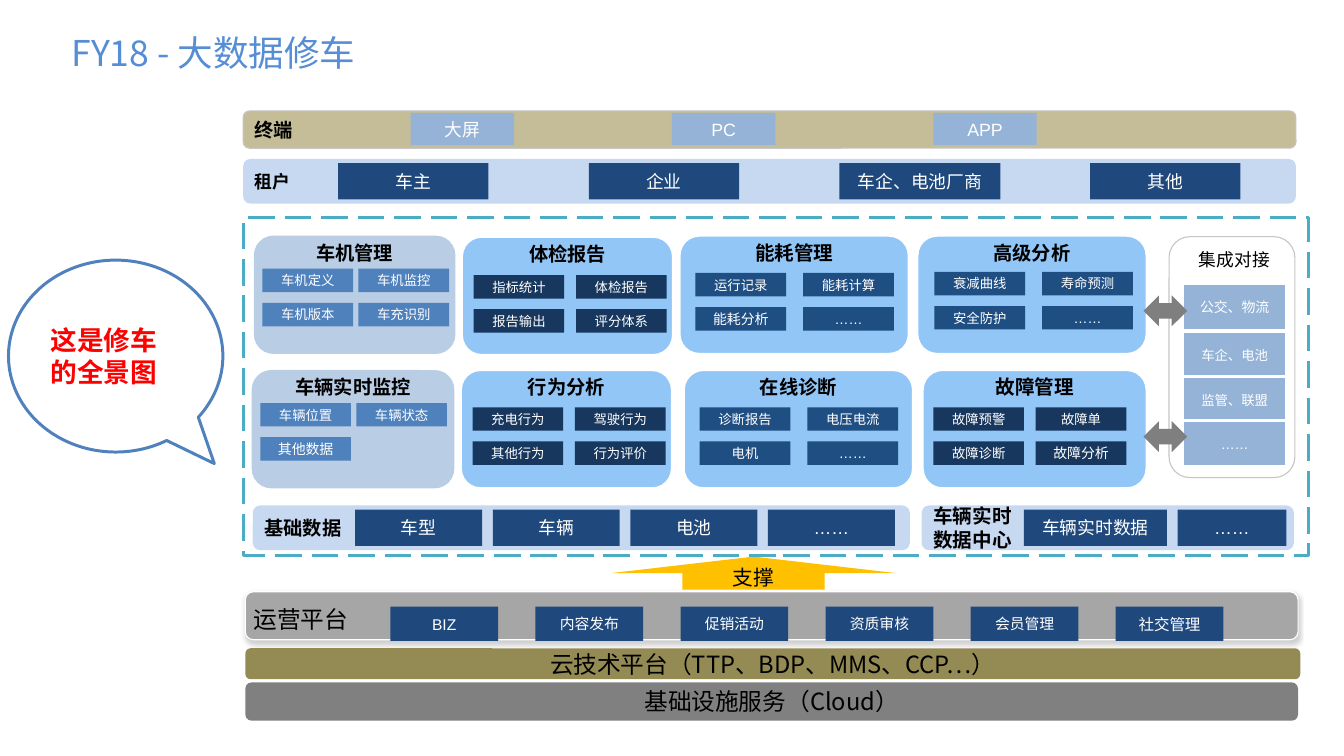
from dataclasses import dataclass, field
from typing import Optional

from lxml.etree import SubElement
from pptx import Presentation
from pptx.dml.color import RGBColor
from pptx.enum.dml import MSO_LINE
from pptx.enum.shapes import MSO_SHAPE as Shape
from pptx.enum.text import MSO_ANCHOR as Anchor, MSO_AUTO_SIZE as AutoSize, PP_ALIGN as Align
from pptx.oxml.ns import qn
from pptx.util import Inches, Pt


@dataclass(frozen=True)
class Theme:
    cjk: str = "Noto Sans CJK SC"
    latin: str = "Arial"
    callout_font: str = "Calibri"
    white: str = "FFFFFF"
    black: str = "000000"
    title: str = "558ED5"
    red: str = "FF0000"
    pale: str = "C6D9F1"
    navy: str = "1F497D"
    dark: str = "17375E"
    deep: str = "1F4E83"
    sky: str = "91C6F7"
    mist: str = "B9CDE5"
    blue: str = "4F81BD"
    soft: str = "95B3D7"
    sand: str = "C4BD97"
    olive: str = "948A54"
    border: str = "C5C5C5"
    frame: str = "4BACC6"
    gold: str = "FFC000"
    silver: str = "A6A6A6"
    gray: str = "808080"
    arrow: str = "7F7F7F"
    title_size: float = 24
    callout_size: float = 18
    platform_size: float = 16
    support_size: float = 14
    heading_size: float = 13
    body_size: float = 12
    service_size: float = 10
    item_size: float = 9


THEME = Theme()
# Labels set in the Latin font, and the sizes that font takes
LATIN_LABELS = {"……", "大屏", "PC", "APP", "其他", "车辆", "BIZ", "社交管理", "其他数据", "公交、物流",
                "能耗分析", "故障分析", "能耗管理", "故障管理", "车辆实时\n数据中心"}
LATIN_SIZES = {9: 9.4, 10: 10.5, 13: 13.2}


@dataclass
class Text:
    content: str
    size: float
    color: str = THEME.white
    bold: bool = False
    align: Align = Align.CENTER
    anchor: Anchor = Anchor.MIDDLE
    inset: float = 0
    wrap: bool = True
    font: Optional[str] = None


@dataclass
class Box:
    left: float
    top: float
    width: float
    height: float
    fill: Optional[str] = None
    kind: Shape = Shape.RECTANGLE
    line: Optional[str] = None
    line_width: float = 0.75
    text: Optional[Text] = None


@dataclass
class Strip:
    bar: Box
    items: tuple[str, ...]
    first: Box
    step: float
    size: float = THEME.body_size
    widths: dict[str, float] = field(default_factory=dict)


@dataclass
class Module:
    title: str
    left: float
    top: float
    width: float
    item_fill: str
    item_left: float
    item_top: float
    column_step: float
    items: tuple[str, ...]
    fill: str = THEME.sky


def write_text(shape, text: Text) -> None:
    frame = shape.text_frame
    frame.auto_size = AutoSize.NONE
    frame.word_wrap = text.wrap
    frame.vertical_anchor = text.anchor
    frame.margin_left = frame.margin_right = Inches(text.inset)
    frame.margin_top = frame.margin_bottom = Inches(0.05 if text.anchor == Anchor.TOP else 0)
    is_latin = text.content in LATIN_LABELS
    font_name = text.font or (THEME.latin if is_latin else THEME.cjk)
    for index, line in enumerate(text.content.split("\n")):
        paragraph = frame.add_paragraph() if index else frame.paragraphs[0]
        paragraph.alignment = text.align
        run = paragraph.add_run()
        run.text = line
        run.font.size = Pt(LATIN_SIZES.get(text.size, text.size) if is_latin else text.size)
        run.font.bold = text.bold
        run.font.color.rgb = RGBColor.from_string(text.color)
        run.font.name = font_name
        SubElement(run.font._element, qn("a:ea")).set("typeface", font_name)


def draw_box(slide, box: Box):
    shape = slide.shapes.add_shape(box.kind, *map(Inches, (box.left, box.top, box.width, box.height)))
    shape.shadow.inherit = False
    if box.fill:
        shape.fill.solid()
        shape.fill.fore_color.rgb = RGBColor.from_string(box.fill)
    else:
        shape.fill.background()
    if box.line:
        shape.line.color.rgb = RGBColor.from_string(box.line)
        shape.line.width = Pt(box.line_width)
    else:
        shape.line.fill.background()
    if box.text:
        write_text(shape, box.text)
    return shape


def draw_label(slide, left: float, top: float, width: float, height: float, text: Text) -> None:
    write_text(slide.shapes.add_textbox(*map(Inches, (left, top, width, height))), text)


def draw_strip(slide, strip: Strip):
    bar = draw_box(slide, strip.bar)
    first = strip.first
    for index, item in enumerate(strip.items):
        draw_box(slide, Box(first.left + index * strip.step, first.top, strip.widths.get(item, first.width),
                            first.height, first.fill, text=Text(item, strip.size)))
    return bar


def draw_module(slide, module: Module) -> None:
    outline = THEME.white if module.fill == THEME.sky else None
    draw_box(slide, Box(module.left, module.top, module.width, 1.11, module.fill,
                        Shape.ROUNDED_RECTANGLE, outline, 1.5))
    draw_label(slide, module.left, module.top, module.width, 0.32,
               Text(module.title, THEME.heading_size, THEME.black, True))
    for index, item in enumerate(module.items):
        row, column = divmod(index, 2)
        draw_box(slide, Box(module.item_left + column * module.column_step, module.item_top + row * 0.32,
                            0.85, 0.22, module.item_fill, text=Text(item, THEME.item_size)))


def add_soft_shadow(shape) -> None:
    effects = shape._element.spPr.find(qn("a:effectLst"))
    shadow = SubElement(effects, qn("a:outerShdw"), blurRad=str(Pt(3.1)), dist=str(Pt(1.6)),
                        dir="5400000", rotWithShape="0")
    color = SubElement(shadow, qn("a:srgbClr"), val=THEME.gray)
    SubElement(color, qn("a:alpha"), val="38000")


def rounded(left: float, top: float, width: float, height: float, fill: str,
            text: Optional[Text] = None, line: Optional[str] = None) -> Box:
    return Box(left, top, width, height, fill, Shape.ROUNDED_RECTANGLE, line, text=text)


def row_label(content: str, size: float = THEME.heading_size) -> Text:
    return Text(content, size, THEME.black, True, Align.LEFT, inset=0.09)


ELLIPSIS = "……"
STRIPS = (
    Strip(rounded(2.28, 1.49, 9.87, 0.42, THEME.pale, row_label("租户", THEME.body_size)),
          ("车主", "企业", "车企、电池厂商", "其他"),
          Box(3.17, 1.53, 1.41, 0.34, THEME.navy), 2.35, widths={"车企、电池厂商": 1.51}),
    Strip(rounded(2.28, 1.04, 9.87, 0.35, THEME.sand, row_label("终端"), THEME.border),
          ("大屏", "PC", "APP"), Box(3.85, 1.06, 0.97, 0.3, THEME.soft), 2.45),
    Strip(rounded(2.37, 4.74, 6.16, 0.42, THEME.pale, row_label("基础数据")),
          ("车型", "车辆", "电池", ELLIPSIS), Box(3.33, 4.78, 1.19, 0.34, THEME.navy), 1.29),
    Strip(rounded(8.64, 4.74, 3.49, 0.42, THEME.pale, row_label("车辆实时\n数据中心")),
          ("车辆实时数据", ELLIPSIS), Box(9.6, 4.78, 1.34, 0.34, THEME.navy), 1.44,
          widths={ELLIPSIS: 1.02}),
)
OPERATIONS = Strip(rounded(2.3, 5.55, 9.87, 0.45, THEME.silver, line=THEME.white),
                   ("BIZ", "内容发布", "促销活动", "资质审核", "会员管理", "社交管理"),
                   Box(3.66, 5.69, 1.01, 0.32, THEME.navy), 1.36, THEME.service_size)
MODULES = (
    Module("车机管理", 2.38, 2.21, 1.89, THEME.blue, 2.46, 2.52, 0.9,
           ("车机定义", "车机监控", "车机版本", "车充识别"), THEME.mist),
    Module("体检报告", 4.33, 2.22, 1.98, THEME.dark, 4.44, 2.58, 0.96,
           ("指标统计", "体检报告", "报告输出", "评分体系")),
    Module("能耗管理", 6.37, 2.21, 2.15, THEME.deep, 6.52, 2.56, 1.01,
           ("运行记录", "能耗计算", "能耗分析", ELLIPSIS)),
    Module("高级分析", 8.6, 2.21, 2.15, THEME.deep, 8.76, 2.55, 1.01,
           ("衰减曲线", "寿命预测", "安全防护", ELLIPSIS)),
    Module("车辆实时监控", 2.36, 3.47, 1.9, THEME.blue, 2.44, 3.78, 0.9,
           ("车辆位置", "车辆状态", "其他数据"), THEME.mist),
    Module("行为分析", 4.32, 3.47, 1.98, THEME.dark, 4.43, 3.82, 0.96,
           ("充电行为", "驾驶行为", "其他行为", "行为评价")),
    Module("在线诊断", 6.41, 3.47, 2.15, THEME.deep, 6.56, 3.82, 1.01,
           ("诊断报告", "电压电流", "电机", ELLIPSIS)),
    Module("故障管理", 8.65, 3.47, 2.1, THEME.dark, 8.75, 3.82, 0.96,
           ("故障预警", "故障单", "故障诊断", "故障分析")),
)
PARTNERS = {"公交、物流": 2.66, "车企、电池": 3.11, "监管、联盟": 3.53, ELLIPSIS: 3.94}
FOUNDATIONS = (
    (6.4, 9.87, 0.36, THEME.gray, "基础设施服务（Cloud）"),
    (6.08, 9.89, 0.29, THEME.olive, "云技术平台（TTP、BDP、MMS、CCP…）"),
)


def main() -> None:
    presentation = Presentation()
    presentation.slide_width, presentation.slide_height = Inches(12.6), Inches(7.09)
    slide = presentation.slides.add_slide(presentation.slide_layouts[5])

    # Title
    title = slide.shapes.title
    title.left, title.top, title.width, title.height = map(Inches, (0.57, 0.24, 3.06, 0.5))
    write_text(title, Text("FY18 - 大数据修车", THEME.title_size, THEME.title,
                           align=Align.LEFT, inset=0.1, wrap=False))

    # Terminals, tenants, data and modules
    draw_box(slide, Box(5.73, 5.22, 2.67, 0.31, THEME.gold, Shape.UP_ARROW,
                        text=Text("支撑", THEME.support_size, THEME.black)))
    for strip in STRIPS:
        draw_strip(slide, strip)
    for module in MODULES:
        draw_module(slide, module)

    # Integration panel
    draw_box(slide, rounded(10.96, 2.22, 1.18, 2.26, THEME.white, line=THEME.border))
    for partner, top in PARTNERS.items():
        draw_box(slide, Box(11.09, top, 0.97, 0.44, THEME.soft, line=THEME.white, line_width=2,
                            text=Text(partner, THEME.item_size)))
    draw_label(slide, 11.15, 2.28, 0.89, 0.5,
               Text("集成对接", THEME.body_size, THEME.black, align=Align.LEFT,
                    anchor=Anchor.TOP, inset=0.09, wrap=False))
    for top in (2.77, 3.95):
        draw_box(slide, Box(10.72, top, 0.41, 0.29, THEME.arrow, Shape.LEFT_RIGHT_ARROW))

    # Dashed system boundary
    boundary = draw_box(slide, Box(2.28, 2.04, 9.99, 3.17, line=THEME.frame, line_width=2.25))
    boundary.line.dash_style = MSO_LINE.LONG_DASH

    # Operations and foundation layers
    add_soft_shadow(draw_strip(slide, OPERATIONS))
    draw_label(slide, 2.28, 5.62, 1.17, 0.37,
               Text("运营平台", THEME.platform_size, THEME.black, align=Align.LEFT, inset=0.1, wrap=False))
    for top, width, height, fill, content in FOUNDATIONS:
        draw_box(slide, rounded(2.3, top, width, height, fill,
                                Text(content, THEME.platform_size, THEME.black)))

    # Callout
    callout = draw_box(slide, Box(0.08, 2.44, 2.01, 1.8, THEME.white, Shape.OVAL_CALLOUT, THEME.blue, 2,
                                  Text("这是修车的全景图", THEME.callout_size, THEME.red, True, Align.LEFT,
                                       inset=0.1, font=THEME.callout_font)))
    callout.adjustments[0], callout.adjustments[1] = 0.46, 0.56

    presentation.save("out.pptx")


if __name__ == "__main__":
    main()
